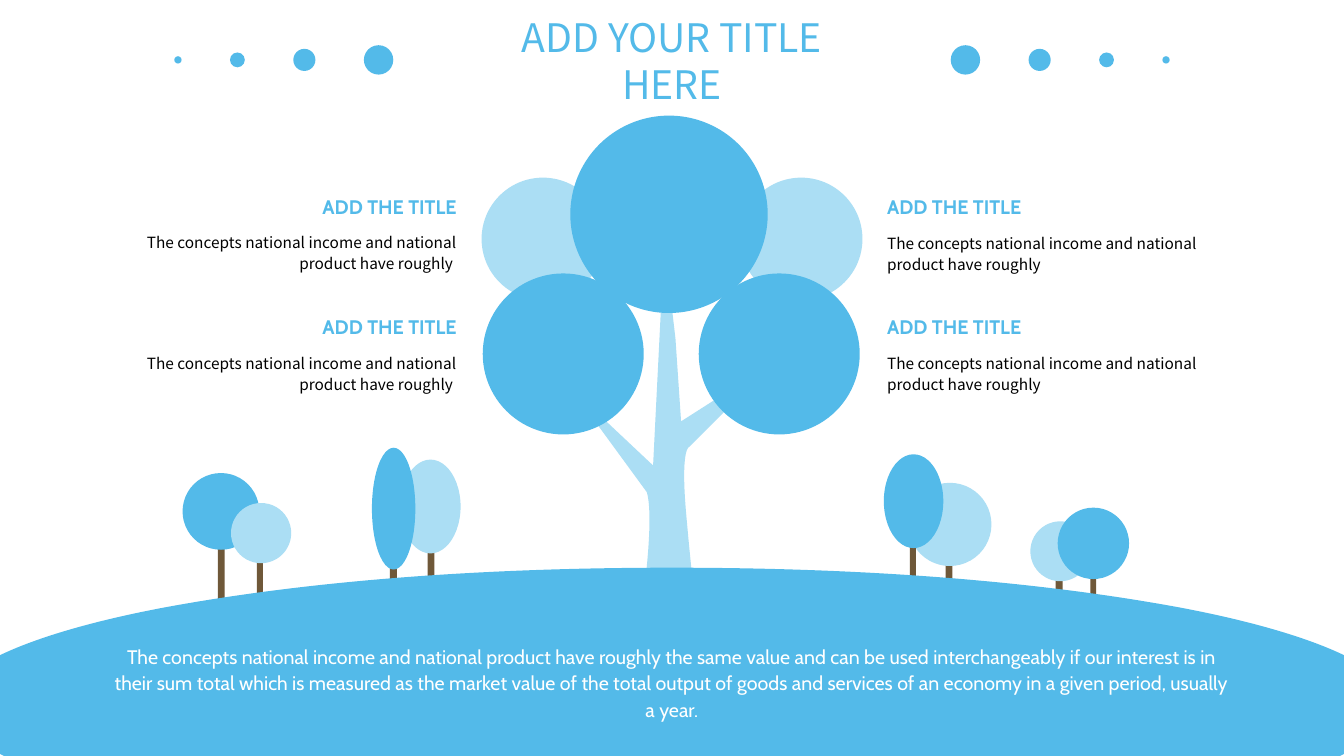
from dataclasses import dataclass

from lxml.etree import SubElement
from pptx import Presentation
from pptx.dml.color import RGBColor
from pptx.enum.shapes import MSO_SHAPE
from pptx.enum.text import MSO_ANCHOR, PP_ALIGN
from pptx.oxml.ns import qn
from pptx.util import Pt


@dataclass(frozen=True)
class Theme:
    blue: str = "53BAE9"
    pale: str = "ABDEF4"
    brown: str = "6F5839"
    white: str = "FFFFFF"
    black: str = "000000"
    display: str = "Noto Sans CJK SC"
    text: str = "Cabin"
    title_size: int = 28
    heading_size: int = 14
    body_size: int = 11


class Painter:
    def __init__(self, page, theme):
        self.page = page
        self.theme = theme

    def group(self):
        return self.page.shapes.add_group_shape().shapes

    def paint(self, shape, color):
        shape.shadow.inherit = False
        shape.fill.solid()
        shape.fill.fore_color.rgb = RGBColor.from_string(color)
        shape.line.fill.background()

    def preset(self, kind, color, area, holder):
        holder = self.page.shapes if holder is None else holder
        self.paint(holder.add_shape(kind, *(Pt(length) for length in area)), color)

    def ellipse(self, color, area, holder=None):
        self.preset(MSO_SHAPE.OVAL, color, area, holder)

    def stem(self, area, holder=None):
        self.preset(MSO_SHAPE.RECTANGLE, self.theme.brown, area, holder)

    def outline(self, color, start, segments):
        builder = self.page.shapes.build_freeform(*(Pt(length) for length in start))
        builder.add_line_segments(
            [(Pt(x), Pt(y)) for segment in segments for x, y in segment], close=True)
        shape = builder.convert_to_shape()
        lines = iter(list(shape.element.iter(qn("a:lnTo"))))
        for segment in segments:
            pieces = [next(lines) for _ in segment]
            if len(pieces) == 3:
                holder = pieces[0].getparent()
                curve = SubElement(holder, qn("a:cubicBezTo"))
                holder.replace(pieces[0], curve)
                for piece in pieces:
                    curve.append(piece[0])
                for piece in pieces[1:]:
                    holder.remove(piece)
        self.paint(shape, color)

    def text(self, words, area, size, font, color, align, bold=False,
             spacing=None, wrap=True, anchor=MSO_ANCHOR.MIDDLE, inset=0):
        box = self.page.shapes.add_textbox(*(Pt(length) for length in area))
        frame = box.text_frame
        frame.word_wrap = wrap
        frame.vertical_anchor = anchor
        frame.margin_left = frame.margin_right = Pt(inset)
        frame.margin_top = frame.margin_bottom = Pt(inset / 2)
        para = frame.paragraphs[0]
        para.alignment = align
        if spacing:
            para.line_spacing = spacing
        span = para.add_run()
        span.text = words
        span.font.size = Pt(size)
        span.font.name = font
        span.font.bold = bold
        span.font.color.rgb = RGBColor.from_string(color)


def main():
    theme = Theme()
    deck = Presentation()
    deck.slide_width, deck.slide_height = Pt(960), Pt(540)
    page = deck.slides.add_slide(deck.slide_layouts[6])
    painter = Painter(page, theme)
    blue, pale = theme.blue, theme.pale

    dots = painter.group()
    for mirrored in (False, True):
        dot_edge, dot_gap, dot_middle = 280.9, 34.6, 42.8
        for size in (21, 15.8, 10.6, 5.2):
            dot_edge -= size
            left = 960 - dot_edge - size if mirrored else dot_edge
            painter.ellipse(blue, (left, dot_middle - size / 2, size, size), dots)
            dot_edge -= dot_gap

    painter.text("ADD YOUR TITLE HERE", (329.3, 22.3, 301, 41), theme.title_size,
                 theme.display, blue, PP_ALIGN.CENTER, inset=7.2)

    groves = [
        [(None, 675.4, 360, 5, 54), (pale, 648.8, 344.9, 59.4, 59.4),
         (None, 650, 360, 4.2, 54), (blue, 631.3, 324.5, 42.5, 67)],
        [(None, 278.5, 404, 5, 16), (None, 305.4, 360, 5, 54),
         (pale, 286, 328.3, 43, 67), (blue, 265.7, 319.8, 31, 87)],
        [(None, 155.6, 378, 5, 54), (None, 183.6, 391.6, 4.2, 36),
         (blue, 130.4, 337.9, 54.8, 54.8), (pale, 165, 359.3, 43, 43)],
        [(None, 754.1, 380, 5, 46), (pale, 736, 372.4, 42.8, 42.8),
         (None, 778.9, 395.3, 4.2, 36), (blue, 755.5, 362.6, 51, 51)],
    ]
    for grove in groves:
        holder = painter.group()
        for color, *area in grove:
            if color:
                painter.ellipse(color, area, holder)
            else:
                painter.stem(area, holder)

    for left in (528.5, 344):
        painter.ellipse(pale, (left, 126.9, 87.6, 87.6))

    painter.outline(pale, (458, 437.5), [
        [(458, 437.5), (468, 371.5), (462, 351.5)],
        [(407.5, 277)], [(466.5, 332.5)], [(474.5, 173)], [(482.5, 242)],
        [(486.5, 301)], [(553, 258.5)], [(492.5, 319)],
        [(492.5, 319), (486, 319), (490, 365.5)],
        [(494, 412), (497.5, 437.5), (497.5, 437.5)],
    ])

    left_slope = [
        [(0, 538.5)], [(0, 468)],
        [(25, 456), (64, 444), (117, 434)],
        [(217, 415.5), (338, 405.5), (480, 405.5)],
    ]
    hill_start = (3, 540)
    slope_points = [hill_start] + [point for segment in left_slope for point in segment]
    returning = iter([(960 - x, y) for x, y in reversed(slope_points[:-1])])
    right_slope = [[next(returning) for _ in segment] for segment in reversed(left_slope)]
    painter.outline(blue, hill_start, left_slope + right_slope)

    painter.text("The concepts national income and national product have roughly the same value "
                 "and can be used interchangeably if our interest is in their sum total which is "
                 "measured as the market value of the total output of goods and services of an "
                 "economy in a given period, usually a year.",
                 (81.4, 458, 797, 62), theme.heading_size, theme.text, theme.white,
                 PP_ALIGN.CENTER, spacing=1.14, anchor=MSO_ANCHOR.TOP)

    painter.ellipse(blue, (407.4, 82.6, 141, 141))
    for left in (499.1, 344.8):
        painter.ellipse(blue, (left, 195.3, 115, 115))

    concept = "The concepts national income and national product have roughly"
    columns = [
        (633.6, 633.6, PP_ALIGN.LEFT, concept, (165.4, 251.4)),
        (219.6, 103.7, PP_ALIGN.RIGHT, concept + " ", (164.9, 251.4)),
    ]
    for heading_left, body_left, align, words, body_tops in columns:
        for heading_top, body_top in zip((139.1, 224.9), body_tops):
            painter.text("ADD THE TITLE", (heading_left, heading_top, 106.6, 17.2),
                         theme.heading_size, theme.text, blue, align, bold=True, wrap=False)
            painter.text(words, (body_left, body_top, 222.5, 29.6),
                         theme.body_size, theme.display, theme.black, align, spacing=1.14)

    deck.save("out.pptx")


if __name__ == "__main__":
    main()
